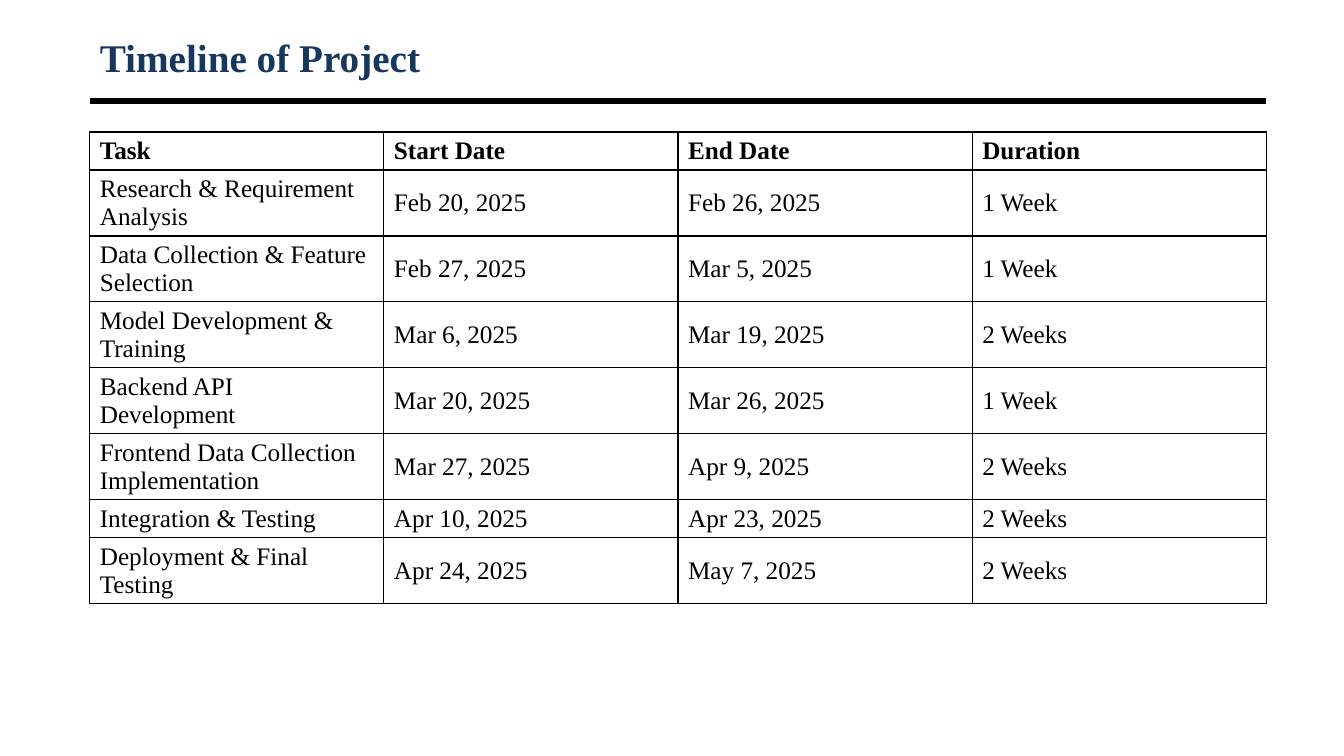
from dataclasses import dataclass

from lxml import etree
from pptx import Presentation
from pptx.dml.color import RGBColor
from pptx.enum.shapes import MSO_CONNECTOR
from pptx.enum.text import MSO_ANCHOR, MSO_AUTO_SIZE, PP_ALIGN
from pptx.oxml.ns import qn
from pptx.util import Inches, Pt

STRAIGHT = MSO_CONNECTOR.STRAIGHT
MIDDLE = MSO_ANCHOR.MIDDLE
NO_AUTOFIT = MSO_AUTO_SIZE.NONE
LEFT = PP_ALIGN.LEFT
TITLE_ONLY = 5


@dataclass(frozen=True)
class Theme:
    font: str = "Times New Roman"
    navy: str = "17375E"
    black: str = "000000"
    white: str = "FFFFFF"
    title_size: float = 28
    table_size: float = 18
    rule_width: float = 4.5
    border_width: float = 1


THEME = Theme()

# Boxes: left, top, width, height in inches
TITLE_BOX = (0.89, 0.3, 11.67, 0.53)
TABLE_BOX = (0.89, 1.31, 11.67, 4.64)
RULE_GAP = 0.17

# Row heights for one and two lines of task text
SHORT_ROW, TALL_ROW = 0.37, 0.65
TASK_LINE_LENGTH = 22

SCHEDULE = [
    ("Task", "Start Date", "End Date", "Duration"),
    ("Research & Requirement Analysis", "Feb 20, 2025", "Feb 26, 2025", "1 Week"),
    ("Data Collection & Feature Selection", "Feb 27, 2025", "Mar 5, 2025", "1 Week"),
    ("Model Development & Training", "Mar 6, 2025", "Mar 19, 2025", "2 Weeks"),
    ("Backend API Development", "Mar 20, 2025", "Mar 26, 2025", "1 Week"),
    ("Frontend Data Collection Implementation", "Mar 27, 2025", "Apr 9, 2025", "2 Weeks"),
    ("Integration & Testing", "Apr 10, 2025", "Apr 23, 2025", "2 Weeks"),
    ("Deployment & Final Testing", "Apr 24, 2025", "May 7, 2025", "2 Weeks"),
]


def write_text(frame, text, size, color, bold):
    para = frame.paragraphs[0]
    para.alignment = LEFT
    span = para.add_run()
    span.text = text
    font_format = {"name": THEME.font, "size": Pt(size), "bold": bold}
    for name, value in font_format.items():
        setattr(span.font, name, value)
    span.font.color.rgb = RGBColor.from_string(color)


def add_borders(cell):
    properties = cell._tc.get_or_add_tcPr()
    for index, side in enumerate(("a:lnL", "a:lnR", "a:lnT", "a:lnB")):
        line = etree.Element(qn(side), w=str(Pt(THEME.border_width)))
        fill = etree.SubElement(line, qn("a:solidFill"))
        etree.SubElement(fill, qn("a:srgbClr"), val=THEME.black)
        properties.insert(index, line)


def build_header(page, box):
    left, top, width, height = box

    # Title
    title = page.shapes.title
    for name, value in zip(("left", "top", "width", "height"), box):
        setattr(title, name, Inches(value))
    frame = title.text_frame
    frame_format = {"word_wrap": True, "auto_size": NO_AUTOFIT, "vertical_anchor": MIDDLE}
    for name, value in frame_format.items():
        setattr(frame, name, value)
    write_text(frame, "Timeline of Project", THEME.title_size, THEME.navy, True)

    # Rule under the title
    rule_top = Inches(top + height + RULE_GAP)
    rule = page.shapes.add_connector(
        STRAIGHT, Inches(left), rule_top, Inches(left + width), rule_top)
    rule.line.color.rgb = RGBColor.from_string(THEME.black)
    rule.line.width = Pt(THEME.rule_width)
    etree.SubElement(rule._element.spPr, qn("a:effectLst"))


def build_schedule(page, box):
    lengths = [Inches(value) for value in box]
    table = page.shapes.add_table(len(SCHEDULE), len(SCHEDULE[0]), *lengths).table
    table.horz_banding = False

    for row_index, entries in enumerate(SCHEDULE):
        tall = len(entries[0]) > TASK_LINE_LENGTH
        table.rows[row_index].height = Inches(TALL_ROW if tall else SHORT_ROW)
        for column_index, text in enumerate(entries):
            cell = table.cell(row_index, column_index)
            cell.vertical_anchor = MIDDLE
            cell.fill.solid()
            cell.fill.fore_color.rgb = RGBColor.from_string(THEME.white)
            add_borders(cell)
            write_text(cell.text_frame, text, THEME.table_size, THEME.black, row_index == 0)


def main():
    deck = Presentation()
    deck.slide_width = Inches(13.33)
    deck.slide_height = Inches(7.5)
    page = deck.slides.add_slide(deck.slide_layouts[TITLE_ONLY])
    build_header(page, TITLE_BOX)
    build_schedule(page, TABLE_BOX)
    deck.save("out.pptx")


if __name__ == "__main__":
    main()
